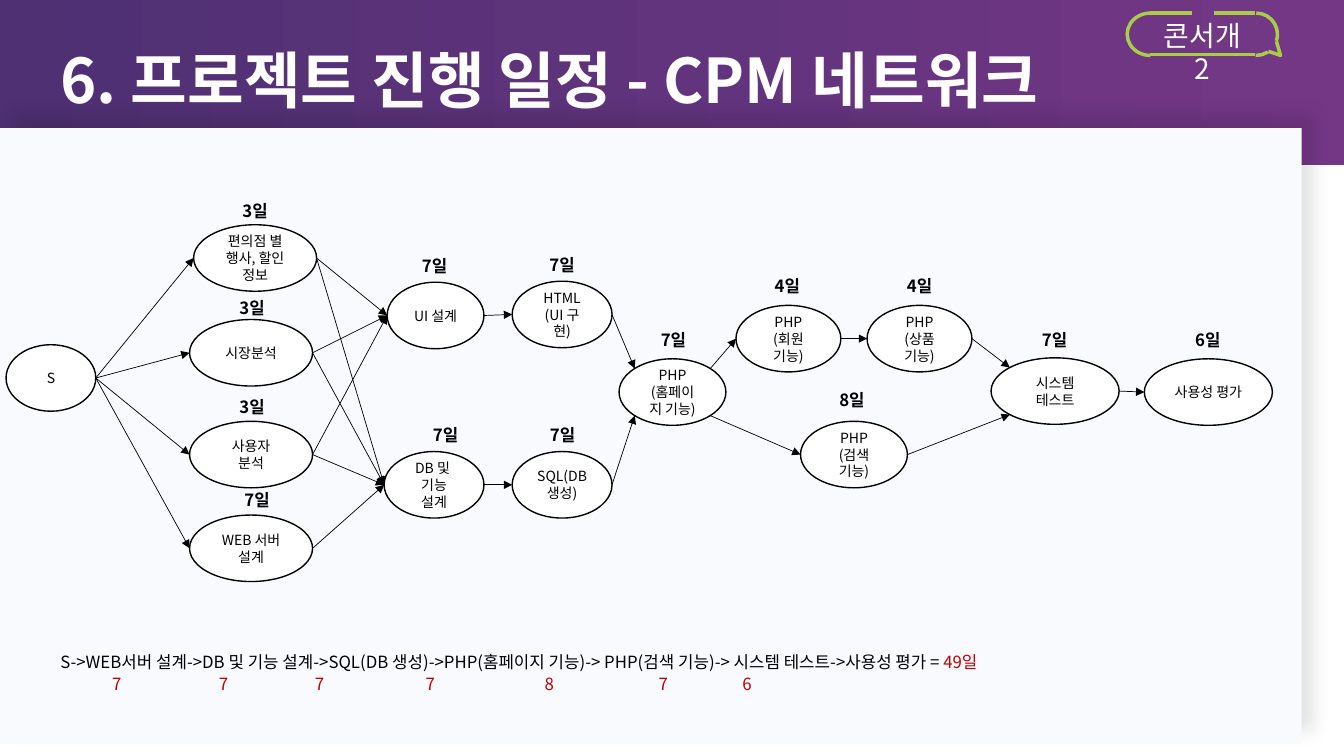
from dataclasses import dataclass
from math import cos, radians, sin

from lxml.etree import SubElement
from pptx import Presentation
from pptx.dml.color import RGBColor as RGB
from pptx.enum.shapes import MSO_CONNECTOR as CONN, MSO_SHAPE as SHAPE
from pptx.enum.text import MSO_ANCHOR as ANCHOR, PP_ALIGN as ALIGN
from pptx.oxml.ns import qn
from pptx.util import Pt

EMU_PER_PX = 9144
NODE_H = 66
LABEL_H = 30


@dataclass(frozen=True)
class Theme:
    font: str = "Noto Sans CJK KR"
    black: str = "000000"
    white: str = "FFFFFF"
    red: str = "C00000"
    lime: str = "ABCC49"
    panel: str = "F9FAFE"
    band_start: str = "4E3073"
    band_end: str = "743786"
    title: int = 44
    badge: int = 20
    body: int = 12
    node: int = 10
    badge_line: float = 2.5
    node_line: float = 1
    arrow_line: float = 0.5


T = Theme()

NODES = {
    "start": ((6, 342, 89), ["S"], None, None),
    "events": ((192, 223, 122), ["편의점 별 행사, 할인 정보"], "3일", (192, 194, 122)),
    "market": ((188, 317, 122), ["시장분석"], "3일", (189, 290, 122)),
    "users": ((188, 418, 122), ["사용자 분석"], "3일", (189, 389, 122)),
    "server": ((188, 511, 122), ["WEB 서버 설계"], "7일", (194, 481, 122)),
    "ui": ((384, 280, 96), ["UI 설계"], "7일", (370, 249, 122)),
    "db": ((381, 448, 99), ["DB 및 ", "기능 설계"], "7일", (381, 416, 122)),
    "html": ((508, 279, 99), ["HTML", "(UI 구현)"], "7일", (516, 248, 83)),
    "sql": ((508, 448, 99), ["SQL(DB 생성)"], "7일", (497, 416, 122)),
    "home": ((614, 356, 106), ["PHP", "(홈페이지 기능)"], "7일", (635, 322, 66)),
    "member": ((730, 303, 104), ["PHP", "(회원 기능)"], "4일", (748, 269, 66)),
    "product": ((860, 303, 104), ["PHP", "(상품 기능)"], "4일", (879, 269, 66)),
    "search": ((794, 418, 106), ["PHP", "(검색 기능)"], "8일", (819, 382, 52)),
    "test": ((983, 355, 127), ["시스템 테스트"], "7일", (1013, 322, 66)),
    "usability": ((1135, 356, 127), ["사용성 평가"], "6일", (1137, 322, 122)),
}

RIGHT, LOWER_RIGHT, LOWER_LEFT, LEFT, UPPER_LEFT, UPPER_RIGHT = 0, 45, 135, 180, 225, 315

EDGES = [
    *(("start", RIGHT, task, LEFT) for task in ("events", "market", "users", "server")),
    *((task, RIGHT, design, LEFT) for task in ("events", "market", "users") for design in ("ui", "db")),
    ("server", RIGHT, "db", LEFT),
    ("ui", RIGHT, "html", LEFT),
    ("db", RIGHT, "sql", LEFT),
    ("html", RIGHT, "home", UPPER_LEFT),
    ("sql", RIGHT, "home", LOWER_LEFT),
    ("home", UPPER_RIGHT, "member", LEFT),
    ("home", LOWER_RIGHT, "search", LEFT),
    ("member", RIGHT, "product", LEFT),
    ("product", RIGHT, "test", UPPER_LEFT),
    ("search", RIGHT, "test", LOWER_LEFT),
    ("test", RIGHT, "usability", LEFT),
]

CRITICAL_PATH = ("S->WEB서버 설계->DB 및 기능 설계->SQL(DB 생성)->PHP(홈페이지 기능)-> "
                 "PHP(검색 기능)-> 시스템 테스트->사용성 평가 = ")
PATH_DAYS = [(56, "7"), (162, "7"), (257, "7"), (367, "7"), (485, "8"), (598, "7"), (681, "6")]


def px(n):
    return round(n * EMU_PER_PX)


def rgb(color):
    return RGB.from_string(color)


def add_run(p, text, size, color, bold=False):
    r = p.add_run()
    r.text = text
    r.font.name = T.font
    r.font.size = Pt(size)
    r.font.bold = bold
    r.font.color.rgb = rgb(color)
    SubElement(r.font._element, qn("a:ea"), typeface=T.font)


def add_shape(shapes, kind, x, y, w, h, fill=None, line=None, line_w=1):
    sp = shapes.add_shape(kind, px(x), px(y), px(w), px(h))
    return style(sp, fill, line, line_w)


def style(sp, fill=None, line=None, line_w=1):
    sp.shadow.inherit = False
    if fill:
        sp.fill.solid()
        sp.fill.fore_color.rgb = rgb(fill)
    else:
        sp.fill.background()
    if line:
        sp.line.color.rgb = rgb(line)
        sp.line.width = Pt(line_w)
    else:
        sp.line.fill.background()
    return sp


def add_text(shapes, x, y, w, h, runs, align=ALIGN.CENTER, margin=10):
    tf = shapes.add_textbox(px(x), px(y), px(w), px(h)).text_frame
    tf.word_wrap = True
    tf.margin_left = tf.margin_right = px(margin)
    p = tf.paragraphs[0]
    p.alignment = align
    for run in runs:
        add_run(p, *run)
    return p


def add_line(shapes, start, end, color, width, arrow=False):
    c = shapes.add_connector(CONN.STRAIGHT, *map(px, (*start, *end)))
    c.line.color.rgb = rgb(color)
    c.line.width = Pt(width)
    if arrow:
        SubElement(c.line._get_or_add_ln(), qn("a:tailEnd"), type="triangle")
    SubElement(c._element.spPr, qn("a:effectLst"))


def add_title(shapes):
    sp = add_shape(shapes, SHAPE.RECTANGLE, 0, 0, 1333, 164)
    sp.fill.gradient()
    sp.fill.gradient_angle = 0
    for stop, color, pos in zip(sp.fill.gradient_stops, (T.band_start, T.band_end), (0, 1)):
        stop.color.rgb = rgb(color)
        stop.position = pos
    tf = sp.text_frame
    tf.word_wrap = True
    tf.vertical_anchor = ANCHOR.TOP
    p = tf.paragraphs[0]
    p.alignment = ALIGN.LEFT
    p.line_spacing = 1.5
    p._p.get_or_add_pPr().set("marL", str(px(50)))
    add_run(p, "6. 프로젝트 진행 일정 - CPM 네트워크", T.title, T.white, True)


def add_panel(shapes):
    sp = add_shape(shapes, SHAPE.RECTANGLE, 0, 127, 1291, 611, T.panel)
    effects = sp._element.spPr.find(qn("a:effectLst"))
    shadow = SubElement(effects, qn("a:outerShdw"), blurRad=str(Pt(13)), dist=str(Pt(13)),
                        dir=str(315 * 60000), algn="bl", rotWithShape="0")
    color = SubElement(shadow, qn("a:srgbClr"), val=T.black)
    SubElement(color, qn("a:alpha"), val="11000")


def add_badge(shapes):
    group = shapes.add_group_shape().shapes
    outline = (None, T.lime, T.badge_line)
    bracket = add_shape(group, SHAPE.LEFT_BRACKET, 1118, 13, 23, 42, *outline)
    bracket.adjustments[0] = 0.92
    for angles in ((270, 18), (57, 92)):
        arc = add_shape(group, SHAPE.ARC, 1225, 13, 42, 42, *outline)
        for i, angle in enumerate(angles):
            arc.adjustments[i] = angle * 0.6
    for x1, x2, y in ((1141, 1245, 54), (1141, 1182, 13), (1204, 1245, 13)):
        add_line(group, (x1, y), (x2, y), T.lime, T.badge_line)
    tail = group.build_freeform(1266, 41, scale=EMU_PER_PX)
    tail.add_line_segments([(1270, 55), (1258, 51)], close=False)
    style(tail.convert_to_shape(), *outline)
    add_text(shapes, 1130, 13, 125, 44, [("콘서개 2", T.badge, T.white)], margin=18)


def add_node(shapes, box, lines, days, label):
    x, y, w = box
    sp = add_shape(shapes, SHAPE.OVAL, x, y, w, NODE_H, T.white, T.black, T.node_line)
    tf = sp.text_frame
    tf.word_wrap = True
    tf.vertical_anchor = ANCHOR.MIDDLE
    for i, text in enumerate(lines):
        p = tf.add_paragraph() if i else tf.paragraphs[0]
        p.alignment = ALIGN.CENTER
        add_run(p, text, T.node, T.black)
    if days:
        lx, ly, lw = label
        add_text(shapes, lx, ly, lw, LABEL_H, [(days, T.body, T.black, True)])


def rim_point(name, angle):
    x, y, w = NODES[name][0]
    a = radians(angle)
    return x + w / 2 * (1 + cos(a)), y + NODE_H / 2 * (1 + sin(a))


def add_critical_path(shapes):
    add_text(shapes, 50, 642, 1237, LABEL_H,
             [(CRITICAL_PATH, T.body, T.black), ("49일", T.body, T.red)], ALIGN.LEFT)
    p = add_text(shapes, 50, 663, 1237, LABEL_H, [], ALIGN.LEFT)
    tabs = SubElement(p._p.get_or_add_pPr(), qn("a:tabLst"))
    for pos, days in PATH_DAYS:
        SubElement(tabs, qn("a:tab"), pos=str(px(pos)), algn="ctr")
        add_run(p, "\t" + days, T.body, T.red)


def main():
    prs = Presentation()
    prs.slide_width, prs.slide_height = px(1333), px(750)
    shapes = prs.slides.add_slide(prs.slide_layouts[6]).shapes
    add_title(shapes)
    add_panel(shapes)
    add_badge(shapes)
    for node in NODES.values():
        add_node(shapes, *node)
    for src, out_angle, dst, in_angle in EDGES:
        add_line(shapes, rim_point(src, out_angle), rim_point(dst, in_angle), T.black, T.arrow_line, True)
    add_critical_path(shapes)
    prs.save("out.pptx")


if __name__ == "__main__":
    main()
